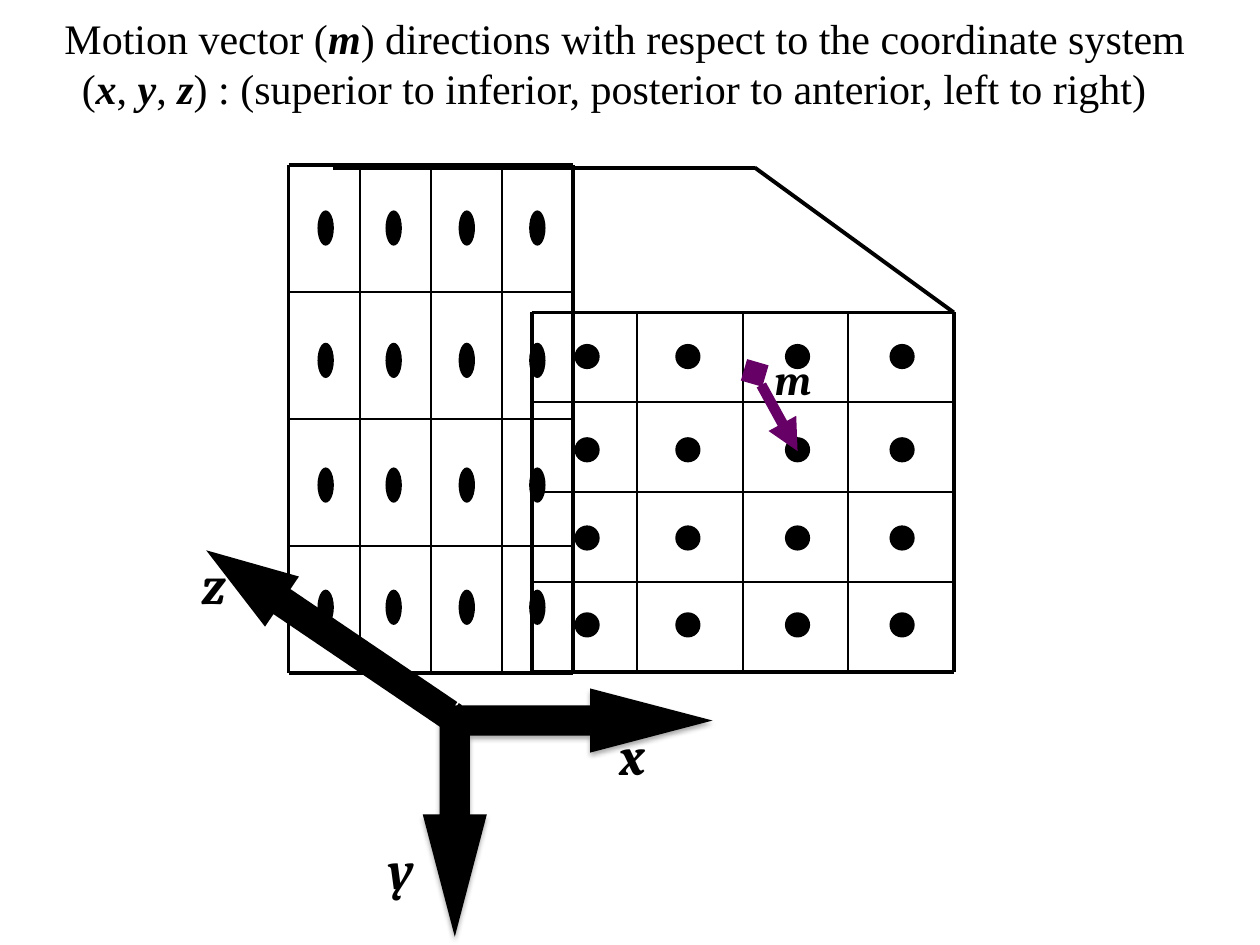
from lxml import etree
from pptx import Presentation
from pptx.dml.color import RGBColor
from pptx.enum.shapes import MSO_CONNECTOR as Connector, MSO_SHAPE as Shape
from pptx.enum.text import PP_ALIGN as Align
from pptx.oxml.ns import qn
from pptx.util import Inches, Pt

COLORS = {"ink": "000000", "motion": "660066"}
TITLE_FONT, LABEL_FONT = "Times New Roman", "Cambria"
THICK, THIN = 2.25, 1

TITLE = [
    (0.08, [("Motion vector (", False), ("m", True),
            (") directions with respect to the coordinate system", False)]),
    (0.25, [("(", False), ("x", True), (", ", False), ("y", True), (", ", False), ("z", True),
            (") : (superior to inferior, posterior to anterior, left to right)", False)]),
]
FRONT_GRID = {
    "left": 4.22, "top": 2.48, "right": 7.57, "bottom": 5.33, "dot": (0.2, 0.2),
    "columns": [4.56, 5.36, 6.23, 7.06], "rows": [2.73, 3.47, 4.17, 4.86],
}
SIDE_GRID = {
    "left": 2.29, "top": 1.31, "right": 4.55, "bottom": 5.34, "dot": (0.13, 0.28),
    "columns": [2.52, 3.06, 3.64, 4.2], "rows": [1.67, 2.72, 3.71, 4.68],
}
TOP_EDGE = [(2.64, 1.33), (5.99, 1.33), (7.57, 2.48)]
LABELS = [
    ("x", 30, (4.82, 5.69, 0.54, 0.61)),
    ("y", 30, (2.98, 6.59, 0.5, 0.61)),
    ("z", 30, (1.5, 4.33, 0.48, 0.61)),
    ("m", 24, (6.05, 2.76, 0.49, 0.5)),
]
CELLS = 4


def add_line(shapes, start, end, width, color="ink"):
    line = shapes.add_connector(Connector.STRAIGHT, *map(Inches, (*start, *end)))
    line.line.color.rgb = RGBColor.from_string(COLORS[color])
    line.line.width = Pt(width)
    etree.SubElement(line._element.spPr, qn("a:effectLst"))
    return line


def add_solid(shapes, kind, frame, rotation=0, adjustments=()):
    solid = shapes.add_shape(kind, *map(Inches, frame))
    solid.shadow.inherit = False
    solid.fill.solid()
    solid.fill.fore_color.rgb = RGBColor.from_string(COLORS["ink"])
    solid.line.fill.background()
    solid.rotation = rotation
    for index, value in enumerate(adjustments):
        solid.adjustments[index] = value
    return solid


def add_grid(shapes, grid):
    left, top, right, bottom = (grid[side] for side in ("left", "top", "right", "bottom"))
    for step in range(CELLS + 1):
        width = THICK if step in (0, CELLS) else THIN
        x = left + (right - left) * step / CELLS
        y = top + (bottom - top) * step / CELLS
        add_line(shapes, (left, y), (right, y), width)
        add_line(shapes, (x, top), (x, bottom), width)
    for y in grid["rows"]:
        for x in grid["columns"]:
            add_solid(shapes, Shape.OVAL, (x, y, *grid["dot"]))


def add_span(para, text, size, font, emphasis):
    span = para.add_run()
    span.text = text
    span.font.size = Pt(size)
    span.font.name = font
    span.font.bold = span.font.italic = emphasis
    span.font.color.rgb = RGBColor.from_string(COLORS["ink"])


def add_label(shapes, text, size, frame):
    box = shapes.add_textbox(*map(Inches, frame))
    box.text_frame.word_wrap = False
    add_span(box.text_frame.paragraphs[0], text, size, LABEL_FONT, True)


def add_title(shapes):
    frame = shapes.add_textbox(*map(Inches, (0.41, 0.05, 9.18, 0.91))).text_frame
    frame.word_wrap = True
    frame.margin_left = frame.margin_right = Inches(0.05)
    for index, (right_margin, spans) in enumerate(TITLE):
        para = frame.paragraphs[0] if index == 0 else frame.add_paragraph()
        para.alignment = Align.CENTER
        para._p.get_or_add_pPr().set("marR", str(Inches(right_margin)))
        for text, emphasis in spans:
            add_span(para, text, 24, TITLE_FONT, emphasis)


def add_arrow_ends(line, head, tail):
    outline = line.line._get_or_add_ln()
    for tag, kind in (("a:headEnd", head), ("a:tailEnd", tail)):
        etree.SubElement(outline, qn(tag), type=kind)


def add_soft_shadow(shape):
    effects = shape._element.spPr.find(qn("a:effectLst"))
    shadow = etree.SubElement(effects, qn("a:outerShdw"), blurRad=str(Pt(3.1)),
                              dist=str(Pt(1.8)), dir="5400000", rotWithShape="0")
    color = etree.SubElement(shadow, qn("a:srgbClr"), val=COLORS["ink"])
    etree.SubElement(color, qn("a:alpha"), val="35000")


def main():
    deck = Presentation()
    deck.slide_width, deck.slide_height = Inches(10), Inches(7.5)
    page = deck.slides.add_slide(deck.slide_layouts[6])
    shapes = page.shapes

    add_solid(shapes, Shape.STRIPED_RIGHT_ARROW, (1.43, 4.8, 2.4, 0.48), 214.1, (0.5, 1.513))
    add_grid(shapes, FRONT_GRID)
    motion = add_line(shapes, (5.99, 2.96), (6.33, 3.58), 6, "motion")
    add_arrow_ends(motion, "diamond", "triangle")
    axes = add_solid(shapes, Shape.LEFT_UP_ARROW, (3.52, 5.3, 1.97, 2.3), 270,
                     (0.122, 0.129, 0.493))
    axes._element.spPr.find(qn("a:xfrm")).set("flipV", "1")
    add_soft_shadow(axes)
    add_grid(shapes.add_group_shape().shapes, SIDE_GRID)
    for label in LABELS:
        add_label(shapes, *label)
    for start, end in zip(TOP_EDGE, TOP_EDGE[1:]):
        add_line(shapes, start, end, THICK)
    add_title(shapes)

    deck.save("out.pptx")


if __name__ == "__main__":
    main()
